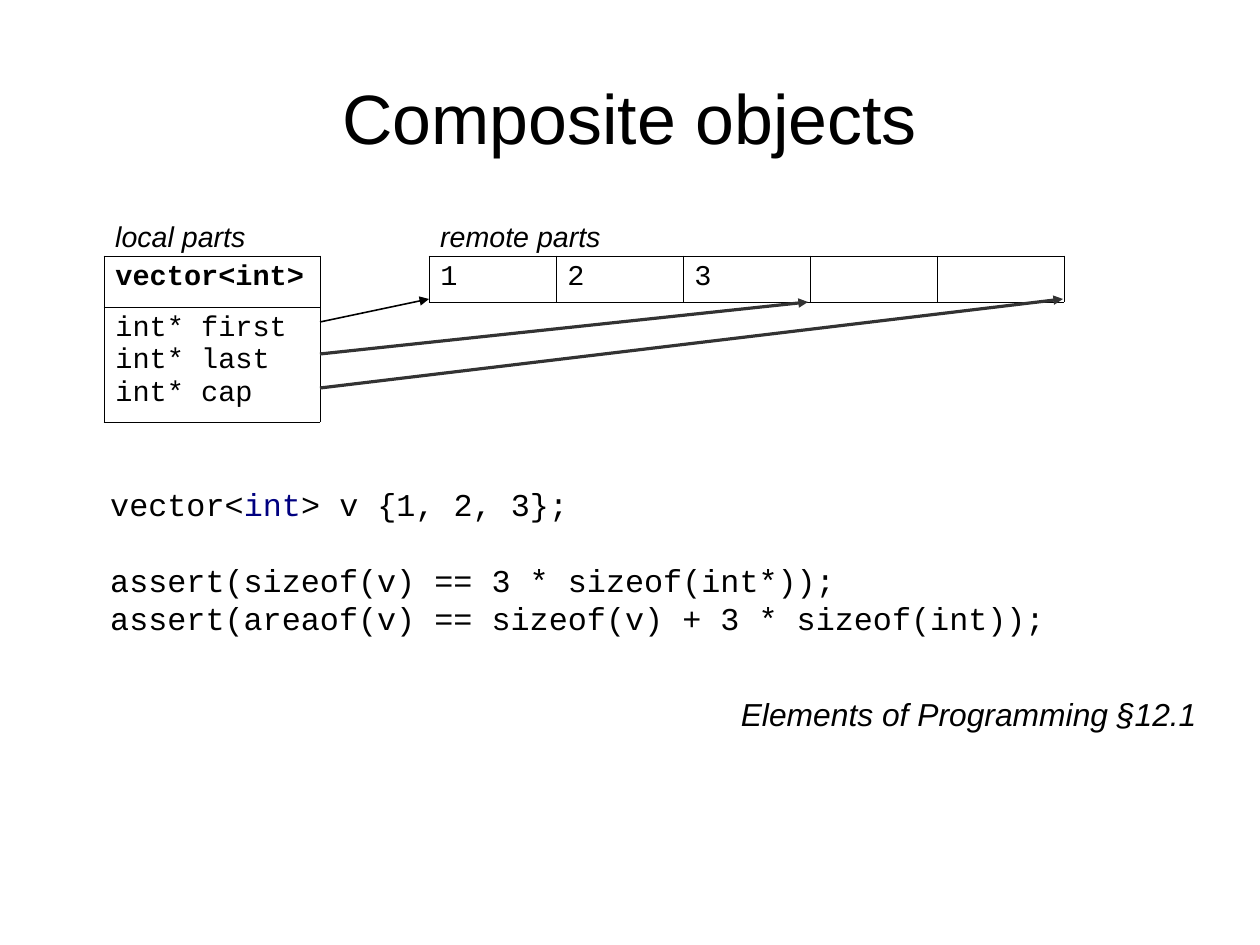
import pptx
import pptx.dml.color
import pptx.enum.shapes
import pptx.enum.text
import pptx.oxml
import pptx.oxml.ns
import pptx.util

PX = 8000  # EMU per px
BLACK = pptx.dml.color.RGBColor(0x00, 0x00, 0x00)
DARK_GREY = pptx.dml.color.RGBColor(0x33, 0x33, 0x33)
NAVY = pptx.dml.color.RGBColor(0x00, 0x00, 0x80)

ALIGN = pptx.enum.text.PP_ALIGN
MIDDLE = pptx.enum.text.MSO_ANCHOR.MIDDLE
TITLE_FONT = {"name": "Arial", "size": pptx.util.Pt(44)}
LABEL_FONT = {"name": "Arial", "size": pptx.util.Pt(18), "italic": True}
CITATION_FONT = {"name": "Arial", "size": pptx.util.Pt(20), "italic": True}
CELL_FONT = {"name": "Courier New", "size": pptx.util.Pt(18), "bold": False}
HEADER_FONT = {**CELL_FONT, "bold": True}
CODE_FONT = {"name": "Courier New", "size": pptx.util.Pt(20)}
CODE_LINE = pptx.util.Pt(24)


def emu(*lengths):
    return [length * PX for length in lengths]


def add_run(paragraph, text, font_format, color=BLACK):
    run = paragraph.add_run()
    run.text = text
    for name, value in font_format.items():
        setattr(run.font, name, value)
    run.font.color.rgb = color


def next_paragraph(text_frame, index):
    return text_frame.add_paragraph() if index else text_frame.paragraphs[0]


def remove_insets(text_frame):
    for side in ("left", "top", "right", "bottom"):
        setattr(text_frame, f"margin_{side}", 0)


def set_title(slide, text, left, top, width, height):
    title = slide.shapes.title
    title.left, title.top, title.width, title.height = emu(left, top, width, height)
    remove_insets(title.text_frame)
    title.text_frame.vertical_anchor = MIDDLE
    paragraph = title.text_frame.paragraphs[0]
    paragraph.alignment = ALIGN.CENTER
    add_run(paragraph, text, TITLE_FONT)


def add_text_frame(slide, left, top, width, height):
    text_frame = slide.shapes.add_textbox(*emu(left, top, width, height)).text_frame
    text_frame.word_wrap = True
    return text_frame


def add_label(slide, text, left, top):
    text_frame = add_text_frame(slide, left, top, 206, 43)
    add_run(text_frame.paragraphs[0], text, LABEL_FONT)


def add_citation(slide, text, left, top, width, height):
    text_frame = add_text_frame(slide, left, top, width, height)
    remove_insets(text_frame)
    text_frame.vertical_anchor = MIDDLE
    paragraph = text_frame.paragraphs[0]
    paragraph.alignment = ALIGN.RIGHT
    add_run(paragraph, text, CITATION_FONT)


def add_code(slide, lines, left, top, width, height):
    """Each line is (lines of space before, [(text, color), ...])."""
    text_frame = add_text_frame(slide, left, top, width, height)
    for index, (gap, pieces) in enumerate(lines):
        paragraph = next_paragraph(text_frame, index)
        paragraph.line_spacing = CODE_LINE
        paragraph.space_before = gap * CODE_LINE
        for text, color in pieces:
            add_run(paragraph, text, CODE_FONT, color)


def add_cell_border(cell):
    properties = cell._tc.get_or_add_tcPr()
    for index, side in enumerate(("lnL", "lnR", "lnT", "lnB")):
        border = pptx.oxml.parse_xml(
            f'<a:{side} {pptx.oxml.ns.nsdecls("a")} w="7200"><a:solidFill>'
            f'<a:srgbClr val="{BLACK}"/></a:solidFill></a:{side}>')
        properties.insert(index, border)


def add_grid(slide, rows, left, top, column_width, row_heights, header_font=CELL_FONT):
    """Each cell is a list of text lines."""
    columns = len(rows[0])
    frame = slide.shapes.add_table(
        len(rows), columns, *emu(left, top, column_width * columns, sum(row_heights)))
    table = frame.table
    table.first_row = table.horz_banding = False
    for column in table.columns:
        column.width = column_width * PX
    for row_index, (cells, height) in enumerate(zip(rows, row_heights)):
        table.rows[row_index].height = height * PX
        font_format = CELL_FONT if row_index else header_font
        for column_index, lines in enumerate(cells):
            cell = table.cell(row_index, column_index)
            cell.fill.background()
            add_cell_border(cell)
            for line_index, line in enumerate(lines):
                add_run(next_paragraph(cell.text_frame, line_index), line, font_format)


def add_arrow(slide, start, end, color, points):
    arrow = slide.shapes.add_connector(
        pptx.enum.shapes.MSO_CONNECTOR.STRAIGHT, *emu(*start, *end))
    arrow.line.color.rgb = color
    arrow.line.width = pptx.util.Pt(points)
    namespace = pptx.oxml.ns.nsdecls("a")
    arrow.line._get_or_add_ln().append(
        pptx.oxml.parse_xml(f'<a:tailEnd {namespace} type="triangle"/>'))
    arrow._element.spPr.append(pptx.oxml.parse_xml(f"<a:effectLst {namespace}/>"))


def main():
    presentation = pptx.Presentation()
    presentation.slide_width, presentation.slide_height = emu(1260, 945)
    slide = presentation.slides.add_slide(presentation.slide_layouts[5])

    set_title(slide, "Composite objects", 63, 38, 1134, 158)

    # Local and remote parts of the vector
    add_label(slide, "local parts", 104, 213)
    add_label(slide, "remote parts", 429, 213)
    members = ["int* first", "int* last", "int* cap"]
    add_grid(slide, [[["vector<int>"]], [members]], 104, 256, 216, [51, 115], HEADER_FONT)
    add_grid(slide, [[["1"], ["2"], ["3"], [], []]], 429, 256, 127, [46])

    # Pointers from members to elements
    add_arrow(slide, (320, 322), (429, 299), BLACK, 1)
    add_arrow(slide, (320, 354), (808, 302), DARK_GREY, 0)
    add_arrow(slide, (320, 388), (1063, 299), DARK_GREY, 0)

    # Code and its reference
    add_code(slide, [
        (0, [("vector<", BLACK), ("int", NAVY), ("> v {1, 2, 3};", BLACK)]),
        (1, [("assert(sizeof(v) == 3 * sizeof(int*));", BLACK)]),
        (0, [("assert(areaof(v) == sizeof(v) + 3 * sizeof(int));", BLACK)]),
    ], 99, 479, 1062, 165)
    add_citation(slide, "Elements of Programming §12.1", 63, 663, 1134, 102)

    presentation.save("out.pptx")


if __name__ == "__main__":
    main()
